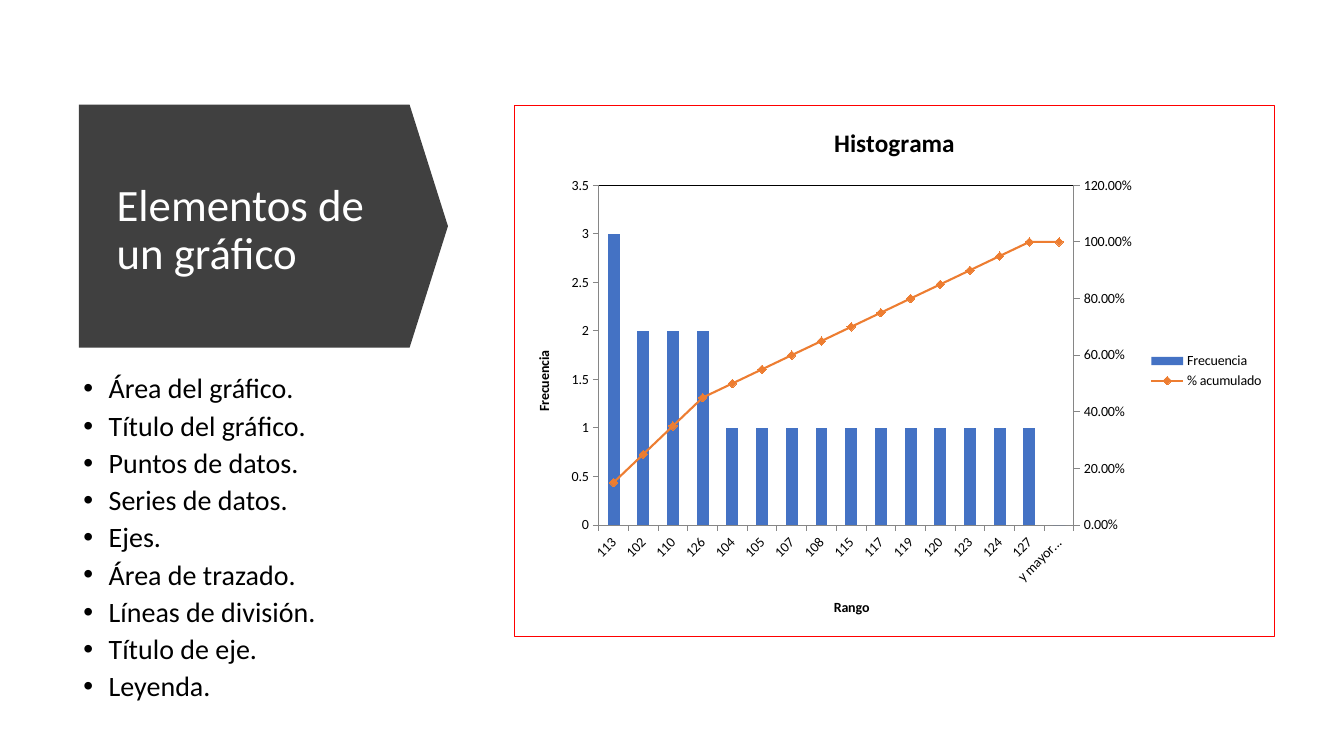
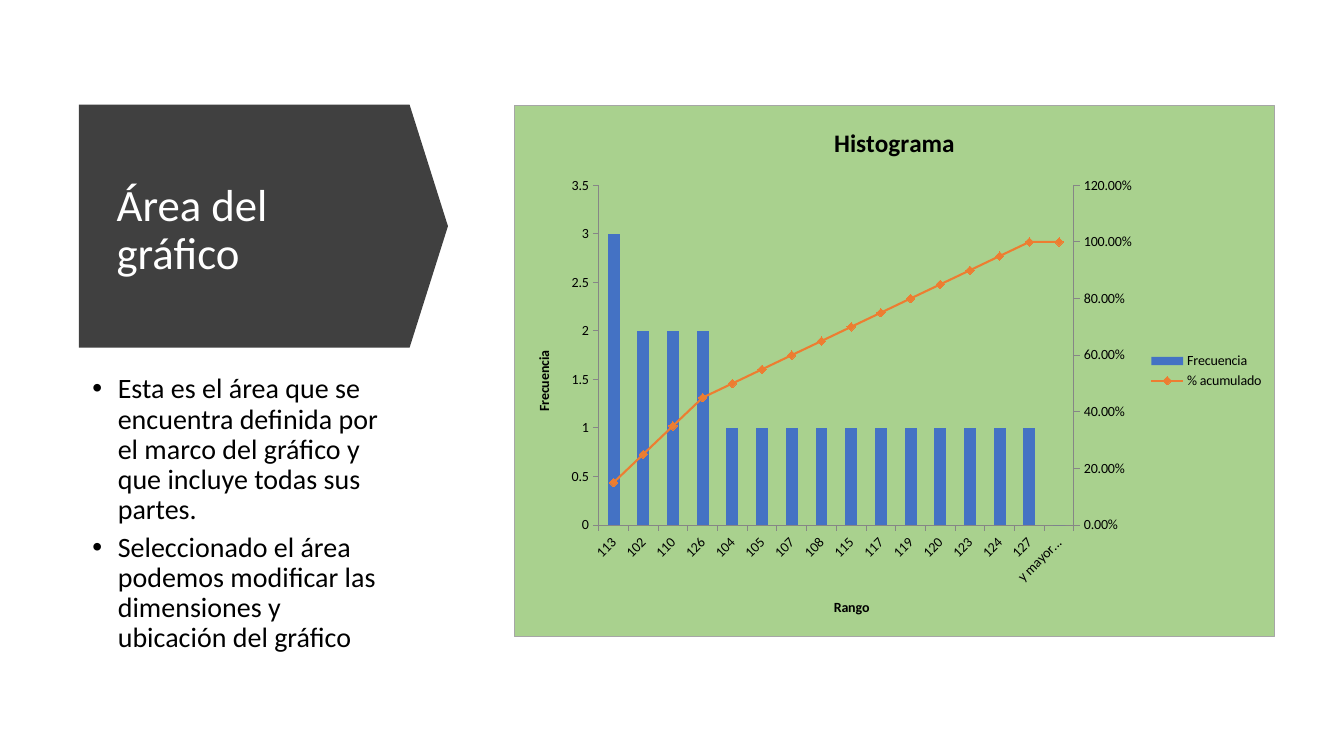
from lxml import etree
from pptx import Presentation
from pptx.chart.data import CategoryChartData
from pptx.dml.color import RGBColor
from pptx.enum.chart import XL_CHART_TYPE as ChartType, XL_LEGEND_POSITION as LegendPosition
from pptx.enum.chart import XL_MARKER_STYLE as MarkerStyle, XL_TICK_MARK as TickMark
from pptx.enum.shapes import MSO_SHAPE as Shape
from pptx.enum.text import MSO_ANCHOR as Anchor
from pptx.oxml import parse_xml
from pptx.oxml.ns import qn
from pptx.util import Cm, Pt

FONT = "Calibri"
BLACK = RGBColor(0x00, 0x00, 0x00)
WHITE = RGBColor(0xFF, 0xFF, 0xFF)
CHARCOAL = RGBColor(0x40, 0x40, 0x40)
RED = RGBColor(0xFF, 0x00, 0x00)
GREY = RGBColor(0xA6, 0xA6, 0xA6)
AXIS_GREY = RGBColor(0x86, 0x86, 0x86)
GREEN = RGBColor(0xA9, 0xD1, 0x8E)
BLUE = RGBColor(0x44, 0x72, 0xC4)
ORANGE = RGBColor(0xED, 0x7D, 0x31)

SLIDES = [
    {
        "title": "Elementos de un gráfico",
        "bullets": [
            "Área del gráfico.", "Título del gráfico.", "Puntos de datos.",
            "Series de datos.", "Ejes.", "Área de trazado.",
            "Líneas de división.", "Título de eje.", "Leyenda.",
        ],
        "body": (1.85, 9.32, 8.23, 6.73),
        "area_fill": None, "area_border": RED, "plot_border": BLACK,
    },
    {
        "title": "Área del gráfico",
        "bullets": [
            "Esta es el área que se encuentra definida por el marco del gráfico "
            "y que incluye todas sus partes.",
            "Seleccionado el área podemos modificar las dimensiones y ubicación del gráfico",
        ],
        "body": (2.08, 9.32, 8.03, 7.39),
        "area_fill": GREEN, "area_border": GREY, "plot_border": None,
    },
]
RANGES = ["113", "102", "110", "126", "104", "105", "107", "108",
          "115", "117", "119", "120", "123", "124", "127", "y mayor..."]
FREQUENCY = [3, 2, 2, 2] + [1] * 11 + [0]
CUMULATIVE = [0.15, 0.25, 0.35, 0.45, 0.5, 0.55, 0.6, 0.65,
              0.7, 0.75, 0.8, 0.85, 0.9, 0.95, 1, 1]

BANNER = (1.99, 2.64, 9.3, 6.12)
TITLE = (2.69, 3.35, 7.42, 4.95)
CHART = (12.95, 2.64, 19.18, 13.41)
BULLET_INDENT = Cm(0.64)

NAMESPACES = ('xmlns:c="http://schemas.openxmlformats.org/drawingml/2006/chart" '
              'xmlns:a="http://schemas.openxmlformats.org/drawingml/2006/main"')
LINE_PLOT = """<c:lineChart {ns}><c:grouping val="standard"/><c:varyColors val="0"/>
<c:marker val="1"/><c:axId val="5001"/><c:axId val="5002"/></c:lineChart>"""
HIDDEN_AXIS = """<c:catAx {ns}><c:axId val="5001"/>
<c:scaling><c:orientation val="minMax"/></c:scaling><c:delete val="1"/>
<c:axPos val="b"/><c:majorTickMark val="none"/><c:minorTickMark val="none"/>
<c:tickLblPos val="nextTo"/><c:crossAx val="5002"/><c:crosses val="autoZero"/></c:catAx>"""
RIGHT_AXIS = """<c:valAx {ns}><c:axId val="5002"/>
<c:scaling><c:orientation val="minMax"/></c:scaling><c:delete val="0"/>
<c:axPos val="r"/><c:numFmt formatCode="0.00%" sourceLinked="0"/>
<c:majorTickMark val="out"/><c:minorTickMark val="none"/><c:tickLblPos val="nextTo"/>
<c:spPr><a:ln w="9525"><a:solidFill><a:srgbClr val="{color}"/></a:solidFill></a:ln></c:spPr>
<c:crossAx val="5001"/><c:crosses val="max"/></c:valAx>"""


def place(frame):
    return [Cm(length) for length in frame]


def style_font(font, size, color, bold=False):
    font.name, font.size, font.bold = FONT, Pt(size), bold
    font.color.rgb = color


def write_para(para, text, size, color, bold=False):
    span = para.add_run()
    span.text = text
    style_font(span.font, size, color, bold)


def add_text(page, frame, lines, size, color, anchor, bulleted=False):
    text = page.shapes.add_textbox(*place(frame)).text_frame
    text.word_wrap = True
    text.vertical_anchor = anchor
    for index, line in enumerate(lines):
        para = text.add_paragraph() if index else text.paragraphs[0]
        para.line_spacing = 0.9
        write_para(para, line, size, color)
        if bulleted:
            para.space_before = Pt(5)
            settings = para._p.get_or_add_pPr()
            settings.set("marL", str(BULLET_INDENT))
            settings.set("indent", str(-BULLET_INDENT))
            etree.SubElement(settings, qn("a:buFont")).set("typeface", "Arial")
            etree.SubElement(settings, qn("a:buChar")).set("char", "•")


def add_banner(page, title):
    banner = page.shapes.add_shape(Shape.PENTAGON, *place(BANNER))
    banner.adjustments[0] = 0.158
    banner.shadow.inherit = False
    banner.fill.solid()
    banner.fill.fore_color.rgb = CHARCOAL
    banner.line.fill.background()
    add_text(page, TITLE, [title], 32, WHITE, Anchor.MIDDLE)


def area_style(fill, border):
    paint = f'<a:solidFill><a:srgbClr val="{fill}"/></a:solidFill>' if fill else "<a:noFill/>"
    stroke = f'<a:solidFill><a:srgbClr val="{border}"/></a:solidFill>' if border else "<a:noFill/>"
    return parse_xml(f'<c:spPr {NAMESPACES}>{paint}<a:ln w="9525">{stroke}</a:ln></c:spPr>')


def move_to_right_axis(chart):
    plot_area = chart.element.find(".//" + qn("c:plotArea"))
    bar_plot = plot_area.find(qn("c:barChart"))
    series = bar_plot.findall(qn("c:ser"))[1]
    for bar_setting in series.findall(qn("c:invertIfNegative")):
        series.remove(bar_setting)
    line_plot = parse_xml(LINE_PLOT.format(ns=NAMESPACES))
    line_plot.find(qn("c:varyColors")).addnext(series)
    bar_plot.addnext(line_plot)
    left_axis = plot_area.find(qn("c:valAx"))
    left_axis.addnext(parse_xml(HIDDEN_AXIS.format(ns=NAMESPACES)))
    left_axis.getnext().addnext(parse_xml(RIGHT_AXIS.format(ns=NAMESPACES, color=AXIS_GREY)))
    return plot_area


def add_histogram(page, area_fill, area_border, plot_border):
    data = CategoryChartData()
    data.categories = RANGES
    data.add_series("Frecuencia", FREQUENCY)
    data.add_series("% acumulado", CUMULATIVE, "0.00%")
    chart = page.shapes.add_chart(ChartType.COLUMN_CLUSTERED, *place(CHART), data).chart
    style_font(chart.font, 10, BLACK)
    write_para(chart.chart_title.text_frame.paragraphs[0], "Histograma", 18, BLACK, True)
    chart.chart_title.include_in_layout = False
    chart.has_legend = True
    chart.legend.position = LegendPosition.RIGHT
    chart.legend.include_in_layout = False
    for axis, name in ((chart.category_axis, "Rango"), (chart.value_axis, "Frecuencia")):
        write_para(axis.axis_title.text_frame.paragraphs[0], name, 10, BLACK, True)
        axis.has_major_gridlines = False
        axis.major_tick_mark = TickMark.OUTSIDE
        axis.format.line.color.rgb = AXIS_GREY
        axis.format.line.width = Pt(0.75)

    plot_area = move_to_right_axis(chart)
    plot_area.append(area_style(None, plot_border))
    chart.element.find(qn("c:chart")).addnext(area_style(area_fill, area_border))

    columns, lines = chart.plots
    columns.gap_width = 150
    columns.vary_by_categories = False
    frequency, cumulative = columns.series[0], lines.series[0]
    frequency.format.fill.solid()
    frequency.format.fill.fore_color.rgb = BLUE
    cumulative.smooth = False
    cumulative.format.line.color.rgb = ORANGE
    cumulative.format.line.width = Pt(1.5)
    marker = cumulative.marker
    marker.style, marker.size = MarkerStyle.DIAMOND, 6
    marker.format.fill.solid()
    marker.format.fill.fore_color.rgb = ORANGE
    marker.format.line.color.rgb = ORANGE


def main():
    deck = Presentation()
    deck.slide_width, deck.slide_height = Cm(33.87), Cm(19.05)
    for content in SLIDES:
        page = deck.slides.add_slide(deck.slide_layouts[6])
        add_banner(page, content["title"])
        add_text(page, content["body"], content["bullets"], 20, BLACK, Anchor.TOP, bulleted=True)
        add_histogram(page, content["area_fill"], content["area_border"], content["plot_border"])
    deck.save("out.pptx")


if __name__ == "__main__":
    main()
